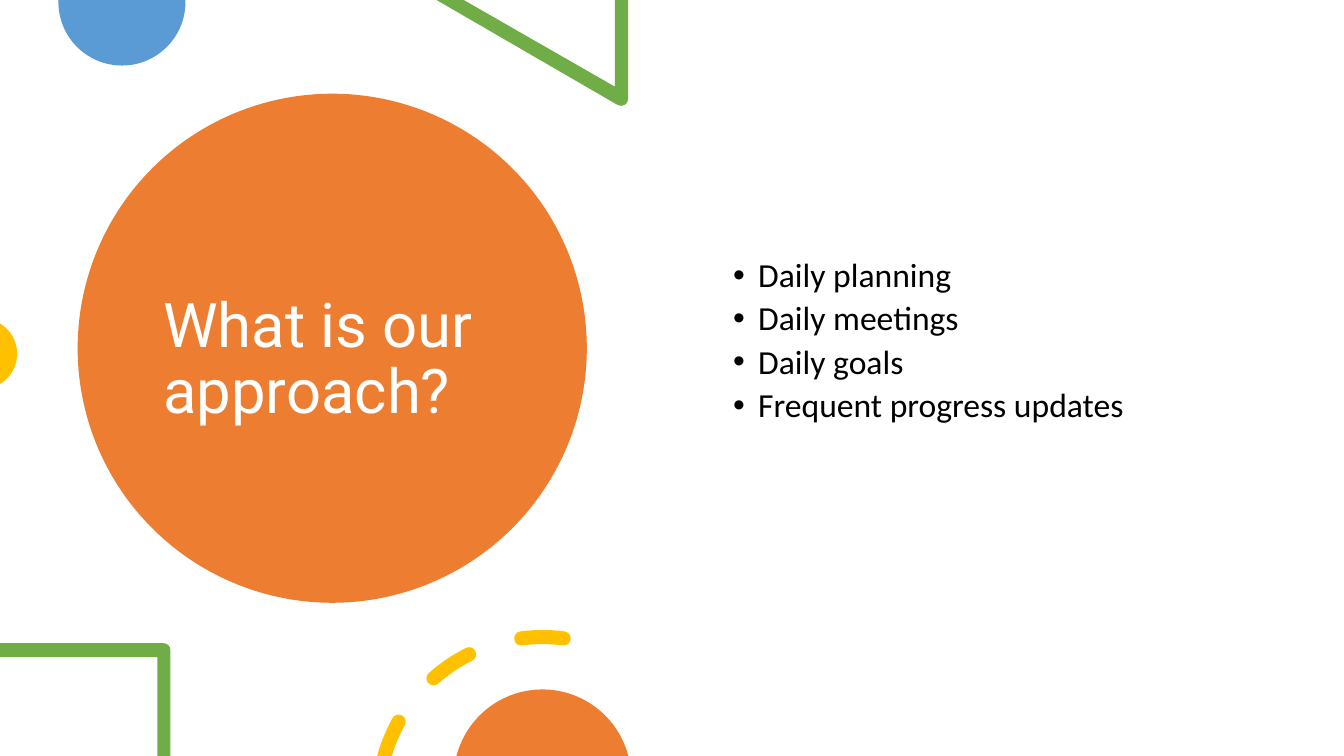
from itertools import pairwise
from math import cos, radians, sin, tan

from lxml import etree
from pptx import Presentation
from pptx.dml.color import RGBColor
from pptx.enum.shapes import MSO_SHAPE as Shape
from pptx.enum.text import MSO_ANCHOR as Anchor, MSO_AUTO_SIZE as AutoSize, PP_ALIGN as Align
from pptx.oxml.ns import qn
from pptx.util import Pt

PX = 9144
ORANGE = RGBColor(0xED, 0x7D, 0x31)
BLUE = RGBColor(0x5B, 0x9B, 0xD5)
GREEN = RGBColor(0x70, 0xAD, 0x47)
YELLOW = RGBColor(0xFF, 0xC0, 0x00)
WHITE = RGBColor(0xFF, 0xFF, 0xFF)
BLACK = RGBColor(0x00, 0x00, 0x00)


def arc(center, radius, *degrees):
    angles = [radians(degree) for degree in degrees]
    points = [(center[0] + radius * cos(a), center[1] + radius * sin(a)) for a in angles]
    segments = [(points[0],)]
    for (a, b), ((ax, ay), (bx, by)) in zip(pairwise(angles), pairwise(points)):
        reach = radius * 4 / 3 * tan((b - a) / 4)
        first = (ax - reach * sin(a), ay + reach * cos(a))
        second = (bx + reach * sin(b), by - reach * cos(b))
        segments.append((first, second, (bx, by)))
    return segments


def add_outline(slide, contours, color):
    builder = None
    for contour in contours:
        points = [(round(x * PX), round(y * PX)) for segment in contour for x, y in segment]
        if builder is None:
            builder = slide.shapes.build_freeform(*points[0], scale=1.0)
        else:
            builder.move_to(*points[0])
        builder.add_line_segments(points[1:], close=True)
    shape = builder.convert_to_shape()
    shape.shadow.inherit = False
    shape.fill.solid()
    shape.fill.fore_color.rgb = color
    shape.line.fill.background()
    lines = iter(list(shape._element.iter(qn("a:lnTo"))))
    for contour in contours:
        for segment in contour[1:]:
            group = [next(lines) for _ in segment]
            if len(group) == 3:
                curve = etree.Element(qn("a:cubicBezTo"))
                group[0].addprevious(curve)
                for line in group:
                    curve.append(line[0])
                    line.getparent().remove(line)


presentation = Presentation()
presentation.slide_width = 1333 * PX
presentation.slide_height = 750 * PX
slide = presentation.slides.add_slide(presentation.slide_layouts[1])
title = slide.shapes.title
body = slide.placeholders[1]

circle = slide.shapes.add_shape(Shape.OVAL, 77 * PX, 93 * PX, 505 * PX, 505 * PX)
circle.shadow.inherit = False
circle.fill.solid()
circle.fill.fore_color.rgb = ORANGE
circle.line.fill.background()
title._element.addprevious(circle._element)

title.text_frame.text = "What is our approach?"
body.text_frame.text = "Daily planning\nDaily meetings\nDaily goals\nFrequent progress updates"

for placeholder, box, font_name, size, color in [
    (title, (152, 135, 354, 445), "Roboto", 44, WHITE),
    (body, (667, 90, 575, 535), "Calibri", 24, BLACK),
]:
    placeholder.left, placeholder.top, placeholder.width, placeholder.height = [v * PX for v in box]
    frame = placeholder.text_frame
    frame.word_wrap = True
    frame.auto_size = AutoSize.NONE
    frame.vertical_anchor = Anchor.MIDDLE
    for paragraph in frame.paragraphs:
        paragraph.alignment = Align.LEFT
        paragraph.line_spacing = 0.9
        font = paragraph.runs[0].font
        font.name = font_name
        font.size = Pt(size)
        font.color.rgb = color

body.text_frame.margin_bottom = 42 * PX
for paragraph in body.text_frame.paragraphs:
    paragraph.level = 1
    paragraph.space_before = Pt(5)
    properties = paragraph._p.get_or_add_pPr()
    properties.set("marL", str(75 * PX))
    properties.set("indent", str(-25 * PX))
    etree.SubElement(properties, qn("a:buFont")).set("typeface", "Arial")
    etree.SubElement(properties, qn("a:buChar")).set("char", "•")

blue_disc = [((184, 0),)] + arc((121, 2), 63, 0, 90, 180) + [((58, 0),)]
triangle = [(point,) for point in [(623, 0), (610, 0), (610, 86), (460, 0), (433, 0)]]
triangle += arc((616, 98), 7, 120, 90, 0)
yellow_disc = arc((-18, 351), 35, -59, 0, 59)
square = [((0, 638),)] + arc((162, 645), 7, -90, 0)
square += [(point,) for point in [(169, 750), (156, 750), (156, 652), (0, 652)]]
orange_disc = arc((538, 772), 88, 194.5, 270, 345.5)

ring_center, ring_radius, half_width = (538, 795), 163, 7
dashes = []
for outer_start, inner_start, end, capped in [
    (195.3, 196.8, 209, False),
    (228.5, 228.5, 243.5, True),
    (262.6, 262.6, 277.4, True),
]:
    end_center = arc(ring_center, ring_radius, end)[0][0]
    dash = arc(ring_center, ring_radius + half_width, outer_start, end)
    dash += arc(end_center, half_width, end, end + 90, end + 180)[1:]
    dash += arc(ring_center, ring_radius - half_width, end, inner_start)[1:]
    if capped:
        start_center = arc(ring_center, ring_radius, outer_start)[0][0]
        dash += arc(start_center, half_width, *[outer_start + turn for turn in (180, 270, 360)])[1:]
    dashes.append(dash)

for contours, color in [
    ([blue_disc], BLUE),
    ([triangle], GREEN),
    ([yellow_disc], YELLOW),
    ([square], GREEN),
    (dashes, YELLOW),
    ([orange_disc], ORANGE),
]:
    add_outline(slide, contours, color)

presentation.save("out.pptx")
